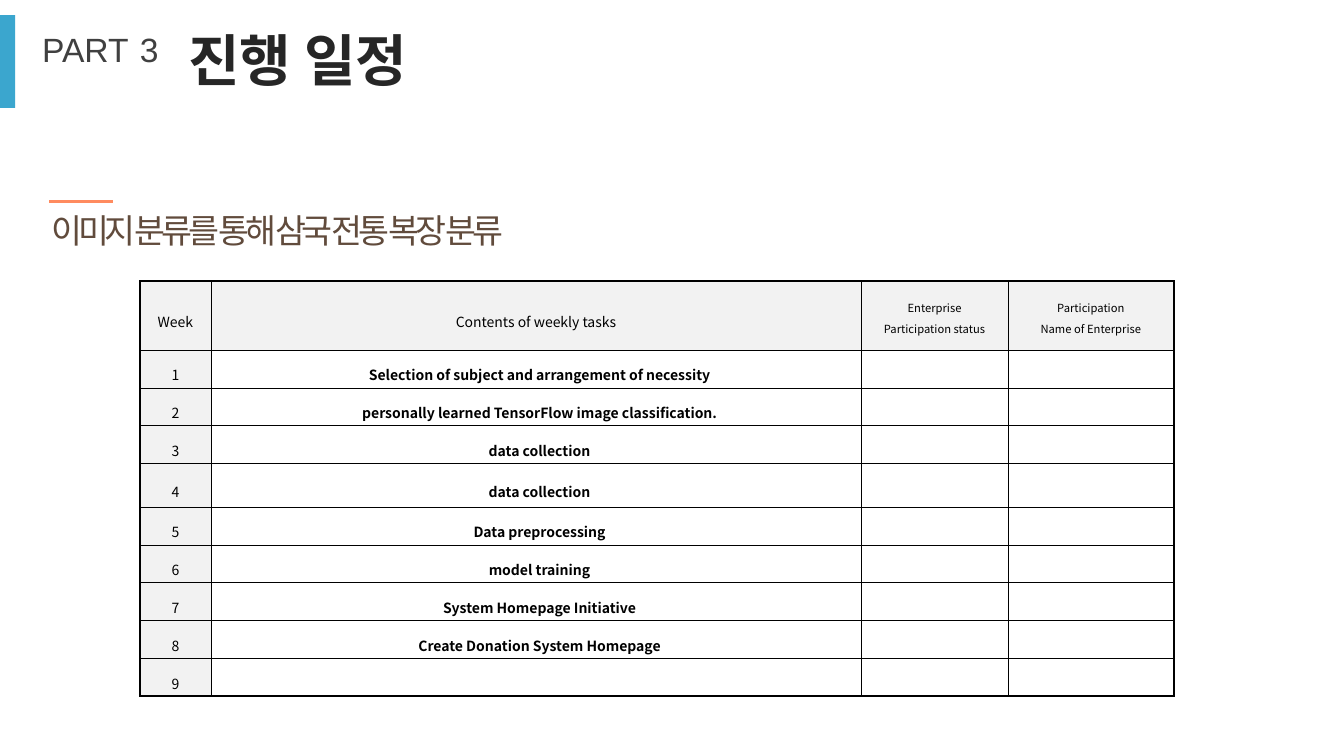
import pptx
import pptx.dml.color
import pptx.enum.shapes
import pptx.enum.text
import pptx.oxml
import pptx.oxml.ns
import pptx.util
from dataclasses import dataclass
from lxml import etree

Inches, Pt = pptx.util.Inches, pptx.util.Pt
PP_ALIGN, ANCHOR = pptx.enum.text.PP_ALIGN, pptx.enum.text.MSO_ANCHOR

# Content
CHAPTER_LABEL = [("PART", 24), ("　", 8), ("3", 24)]
TITLE = "진행 일정"
SUBJECT = "이미지 분류를 통해 삼국 전통 복장 분류"
HEADINGS = ["Week", "Contents of weekly tasks",
            "Enterprise\nParticipation status", "Participation\nName of Enterprise"]
WEEKLY_TASKS = [
    "Selection of subject and arrangement of necessity",
    "personally learned TensorFlow image classification.",
    "data collection",
    "data collection",
    "Data preprocessing",
    "model training",
    "System Homepage Initiative",
    "Create Donation System Homepage",
    "",
]


@dataclass(frozen=True)
class Theme:
    korean: str = "Noto Sans CJK KR"
    latin: str = "Arial"
    accent: str = "3BA6CE"
    rule: str = "FF8B5F"
    title: str = "262626"
    chapter: str = "404040"
    subject: str = "614B3C"
    black: str = "000000"
    shade: str = "F2F2F2"
    title_size: float = 40
    subject_size: float = 24
    cell_size: float = 10
    small_size: float = 8
    outer_line: float = 1.7
    inner_line: float = 0.28


THEME = Theme()

# Table geometry in inches
TABLE_LEFT, TABLE_TOP, TABLE_HEIGHT = 1.39, 2.79, 4.12
COLUMN_WIDTHS = [0.7, 6.45, 1.46, 1.64]
HEADER_HEIGHT, TALL_HEIGHT, TALL_WEEK = 0.68, 0.43, 4
week_height = (TABLE_HEIGHT - HEADER_HEIGHT - TALL_HEIGHT) / (len(WEEKLY_TASKS) - 1)
row_heights = [HEADER_HEIGHT] + [TALL_HEIGHT if week == TALL_WEEK else week_height
                                 for week in range(1, len(WEEKLY_TASKS) + 1)]


def rgb(value):
    return pptx.dml.color.RGBColor.from_string(value)


def style(paragraph, name, color, size=None, bold=False):
    font = paragraph.font
    font.name, font.bold = name, bold
    font.color.rgb = rgb(color)
    if size:
        font.size = Pt(size)


def set_korean(paragraph, spacing=0):
    for run in paragraph.runs:
        properties = run._r.get_or_add_rPr()
        properties.set("spc", str(round(spacing * 100)))
        east_asian = etree.SubElement(properties, pptx.oxml.ns.qn("a:ea"))
        east_asian.set("typeface", THEME.korean)


def add_label(left, top, width, height):
    label = slide.shapes.add_textbox(Inches(left), Inches(top), Inches(width), Inches(height))
    label.text_frame.word_wrap = True
    return label.text_frame


def set_borders(cell, row, column):
    outer = {"L": column == 0, "R": column == len(COLUMN_WIDTHS) - 1,
             "T": row == 0, "B": row == len(row_heights) - 1}
    for side, is_outer in outer.items():
        width = Pt(THEME.outer_line if is_outer else THEME.inner_line)
        cell._tc.get_or_add_tcPr().append(pptx.oxml.parse_xml(
            f'<a:ln{side} {pptx.oxml.ns.nsdecls("a")} w="{width}"><a:solidFill>'
            f'<a:srgbClr val="{THEME.black}"/></a:solidFill></a:ln{side}>'))


def fill_cell(cell, row, column, words):
    set_borders(cell, row, column)
    cell.margin_left = cell.margin_right = Inches(0.07)
    cell.margin_top = cell.margin_bottom = Inches(0.02)
    cell.vertical_anchor = ANCHOR.MIDDLE
    if row == 0 or column == 0:
        cell.fill.solid()
        cell.fill.fore_color.rgb = rgb(THEME.shade)
    else:
        cell.fill.background()
    is_task = row > 0 and column == 1
    is_small = column > 1
    cell.text_frame.text = words
    for paragraph in cell.text_frame.paragraphs:
        paragraph.alignment = PP_ALIGN.CENTER
        paragraph.line_spacing = 1.3 if is_small else 1.6
        if is_task:
            paragraph._p.get_or_add_pPr().set("marL", str(Inches(0.07)))
        style(paragraph, THEME.korean, THEME.black,
              THEME.small_size if is_small else THEME.cell_size, is_task)


presentation = pptx.Presentation()
presentation.slide_width, presentation.slide_height = Inches(13.33), Inches(7.5)
slide = presentation.slides.add_slide(presentation.slide_layouts[5])

# Accent bar
accent_bar = slide.shapes.add_shape(pptx.enum.shapes.MSO_SHAPE.RECTANGLE,
                                    0, Inches(0.15), Inches(0.15), Inches(0.92))
accent_bar.shadow.inherit = False
accent_bar.fill.solid()
accent_bar.fill.fore_color.rgb = rgb(THEME.accent)
accent_bar.line.fill.background()

# Title
title = slide.shapes.title
title.left, title.top, title.width, title.height = map(Inches, (1.77, 0.28, 11.04, 1.1))
title.text_frame.text = TITLE
title.text_frame.vertical_anchor = ANCHOR.TOP
heading = title.text_frame.paragraphs[0]
heading.alignment = PP_ALIGN.LEFT
heading.line_spacing = 0.9
style(heading, THEME.korean, THEME.title, THEME.title_size, True)
set_korean(heading)

# Chapter number
chapter = add_label(0.32, 0.28, 1.97, 0.49).paragraphs[0]
chapter.line_spacing = 0.9
style(chapter, THEME.latin, THEME.chapter)
for words, size in CHAPTER_LABEL:
    piece = chapter.add_run()
    piece.text = words
    piece.font.size = Pt(size)

# Subject with its short rule
subject_rule = slide.shapes.add_connector(pptx.enum.shapes.MSO_CONNECTOR.STRAIGHT,
                                          Inches(0.49), Inches(2), Inches(1.12), Inches(2))
subject_rule.line.color.rgb = rgb(THEME.rule)
subject_rule.line.width = Pt(2.25)
etree.SubElement(subject_rule._element.spPr, pptx.oxml.ns.qn("a:effectLst"))

subject_frame = add_label(0.38, 2.03, 5.45, 0.5)
subject_frame.margin_left = Inches(0.13)
subject_frame.text = SUBJECT
subject = subject_frame.paragraphs[0]
style(subject, THEME.korean, THEME.subject, THEME.subject_size)
set_korean(subject, spacing=-3)

# Weekly schedule
schedule = slide.shapes.add_table(
    len(row_heights), len(COLUMN_WIDTHS), Inches(TABLE_LEFT), Inches(TABLE_TOP),
    Inches(sum(COLUMN_WIDTHS)), Inches(TABLE_HEIGHT)).table
schedule.first_row = schedule.horz_banding = False
for column, width in zip(schedule.columns, COLUMN_WIDTHS):
    column.width = Inches(width)
for row, height in zip(schedule.rows, row_heights):
    row.height = Inches(height)

lines = [HEADINGS] + [[str(week), task, "", ""] for week, task in enumerate(WEEKLY_TASKS, 1)]
for row, line in enumerate(lines):
    for column, words in enumerate(line):
        fill_cell(schedule.cell(row, column), row, column, words)

presentation.save("out.pptx")
